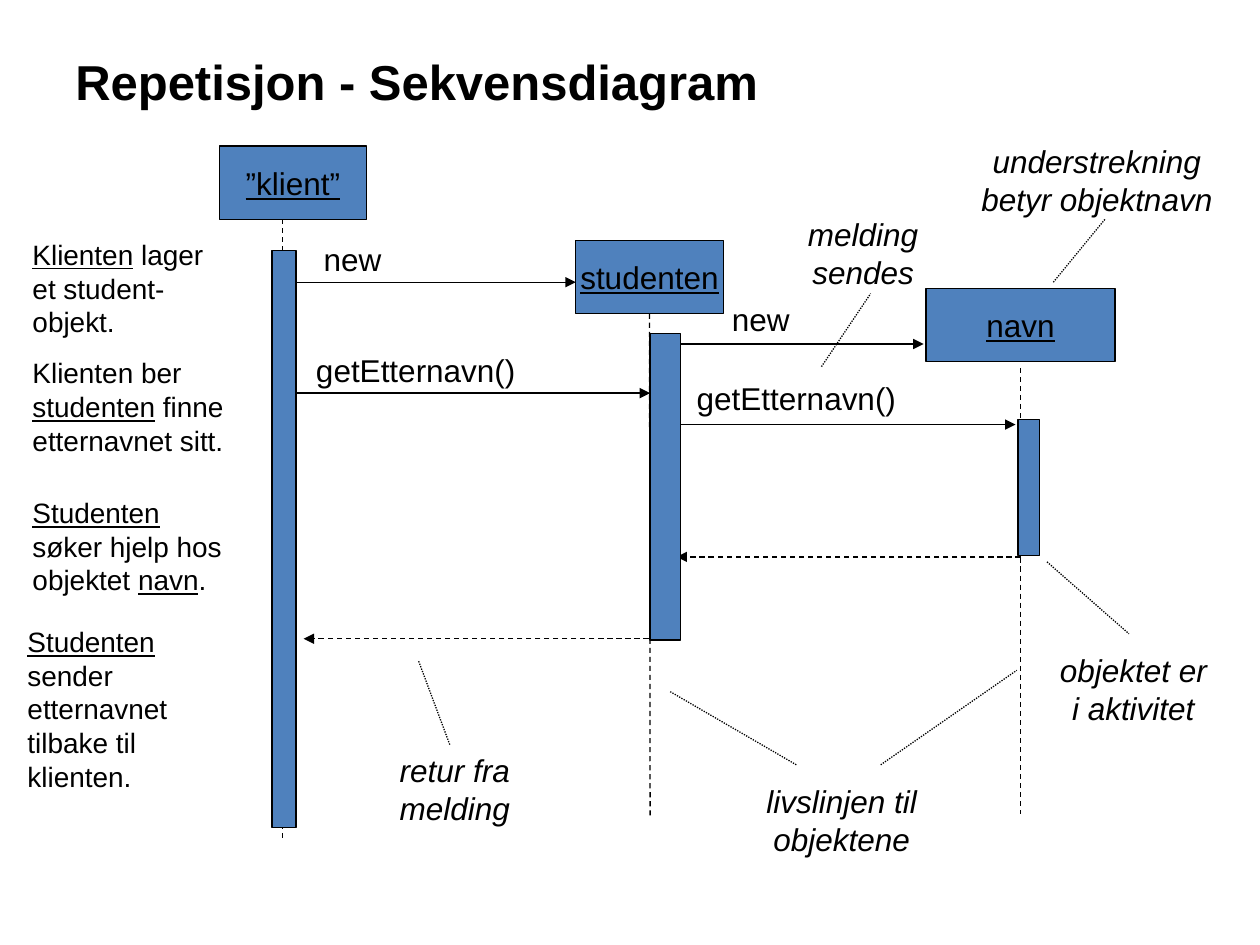
from lxml.etree import SubElement
from pptx import Presentation
from pptx.dml.color import RGBColor
from pptx.enum.dml import MSO_LINE
from pptx.enum.shapes import MSO_CONNECTOR, MSO_SHAPE
from pptx.enum.text import MSO_ANCHOR, MSO_AUTO_SIZE, PP_ALIGN
from pptx.oxml.ns import qn
from pptx.util import Inches, Pt

BLACK = RGBColor(0x00, 0x00, 0x00)
BLUE = RGBColor(0x4F, 0x81, 0xBD)
FONT = "Arial"
BOX_HEIGHT = 0.58
LABEL_HEIGHT = 0.4


def write(shape, paragraphs, size=18, align=PP_ALIGN.LEFT, anchor=MSO_ANCHOR.MIDDLE,
          wrap=False, bold=False, italic=False):
    """Fill a shape with paragraphs, each a list of (text, underlined) runs."""
    frame = shape.text_frame
    frame.word_wrap = wrap
    frame.vertical_anchor = anchor
    for index, runs in enumerate(paragraphs):
        paragraph = frame.add_paragraph() if index else frame.paragraphs[0]
        paragraph.alignment = align
        for text, underlined in runs:
            run = paragraph.add_run()
            run.text = text
            font = run.font
            font.name, font.size = FONT, Pt(size)
            font.bold, font.italic, font.underline = bold, italic, underlined
            font.color.rgb = BLACK


def add_text(slide, box, paragraphs, grow=True, **style):
    textbox = slide.shapes.add_textbox(*map(Inches, box))
    write(textbox, paragraphs, **style)
    if grow:
        textbox.text_frame.auto_size = MSO_AUTO_SIZE.SHAPE_TO_FIT_TEXT


def add_rectangle(slide, box):
    rectangle = slide.shapes.add_shape(MSO_SHAPE.RECTANGLE, *map(Inches, box))
    rectangle.shadow.inherit = False
    rectangle.fill.solid()
    rectangle.fill.fore_color.rgb = BLUE
    rectangle.line.color.rgb = BLACK
    rectangle.line.width = Pt(0.75)
    return rectangle


def add_line(slide, start, end, dash=None, arrow=False):
    line = slide.shapes.add_connector(MSO_CONNECTOR.STRAIGHT, *map(Inches, start + end))
    line.line.color.rgb = BLACK
    line.line.width = Pt(0.75)
    if dash:
        line.line.dash_style = dash
    if arrow:
        SubElement(line.line._get_or_add_ln(), qn("a:tailEnd"), type="triangle")
    SubElement(line._element.spPr, qn("a:effectLst"))
    return line


def add_title(slide, box, text):
    add_text(slide, box, [[(text, False)]], grow=False, size=28, wrap=True, bold=True)


def add_participant(slide, box, name, line_x, line_top, line_bottom):
    """Object box with its dashed lifeline below."""
    left, top, width, height = box
    head = add_rectangle(slide, box)
    write(head, [[(name, True)]], align=PP_ALIGN.CENTER)
    lifeline = add_line(slide, (line_x, line_top), (line_x, line_bottom), MSO_LINE.DASH)
    centred = abs(left + width / 2 - line_x) < 0.01
    if centred and abs(top + height - line_top) < 0.01:
        lifeline.begin_connect(head, 2)


def add_message(slide, start_x, end_x, y, label=None, label_box=None):
    """Call with a label, or a dashed return without one."""
    dash = None if label else MSO_LINE.DASH
    add_line(slide, (start_x, y), (end_x, y), dash, arrow=True)
    if label:
        add_text(slide, label_box, [[(label, False)]], anchor=MSO_ANCHOR.TOP)


def add_callout(slide, box, lines, *pointers):
    """Italic remark with dotted lines to what it explains."""
    for start, end in pointers:
        add_line(slide, start, end, MSO_LINE.ROUND_DOT)
    add_text(slide, box, [[(line, False)] for line in lines],
             align=PP_ALIGN.CENTER, italic=True)


def add_explanation(slide, box, paragraphs):
    add_text(slide, box, paragraphs, size=16, wrap=True)


PARTICIPANTS = [
    ((1.74, 1.16, 1.17, BOX_HEIGHT), "”klient”", 2.24, 1.74, 6.67),
    ((4.57, 1.91, 1.17, BOX_HEIGHT), "studenten", 5.16, 2.49, 6.49),
    ((7.35, 2.29, 1.5, BOX_HEIGHT), "navn", 8.1, 2.92, 6.46),
]
MESSAGES = [
    (2.24, 4.57, 2.24, "new", (2.47, 1.86, 0.66, LABEL_HEIGHT)),
    (2.34, 5.16, 3.12, "getEtternavn()", (2.41, 2.74, 1.8, LABEL_HEIGHT)),
    (5.39, 7.33, 2.73, "new", (5.71, 2.33, 0.66, LABEL_HEIGHT)),
    (5.16, 8.06, 3.37, "getEtternavn()", (5.43, 2.96, 1.8, LABEL_HEIGHT)),
    (8.1, 5.37, 4.42),
    (5.22, 2.41, 5.07),
]
ACTIVATIONS = [(2.16, 1.99, 0.19, 4.58), (5.16, 2.65, 0.24, 2.43), (8.08, 3.33, 0.17, 1.08)]
CALLOUTS = [
    ((7.65, 1.08, 2.11, 0.7), ["understrekning", "betyr objektnavn"],
     ((8.36, 2.24), (8.77, 1.74))),
    ((6.31, 1.66, 1.08, 0.7), ["melding", "sendes"], ((6.52, 2.91), (6.91, 2.33))),
    ((8.31, 5.12, 1.37, 0.7), ["objektet er", "i aktivitet"], ((8.31, 4.46), (8.96, 5.03))),
    ((5.98, 6.16, 1.4, 0.7), ["livslinjen til", "objektene"],
     ((6.99, 6.07), (8.07, 5.32)), ((6.32, 6.07), (5.32, 5.49))),
    ((3.07, 5.91, 1.08, 0.7), ["retur fra", "melding"], ((3.57, 5.91), (3.32, 5.24))),
]
EXPLANATIONS = [
    ((0.16, 1.83, 1.77, 0.91), [[("Klienten", True), (" lager et student-objekt.", False)]]),
    ((0.16, 2.77, 1.77, 0.91),
     [[("Klienten ber ", False), ("studenten", True), (" finne", False)],
      [("etternavnet sitt.", False)]]),
    ((0.16, 3.88, 1.77, 0.91),
     [[("Studenten", True), (" søker hjelp hos objektet ", False),
       ("navn", True), (".", False)]]),
    ((0.12, 4.9, 1.77, 1.45),
     [[("Studenten", True), (" sender etternavnet", False)],
      [("tilbake til klienten.", False)]]),
]


def main():
    deck = Presentation()
    deck.slide_width, deck.slide_height = Inches(10), Inches(7.5)
    slide = deck.slides.add_slide(deck.slide_layouts[6])

    add_title(slide, (0.5, 0.3, 9, 0.69), "Repetisjon - Sekvensdiagram")

    # Sequence diagram: the activation bars cover the line ends
    for participant in PARTICIPANTS:
        add_participant(slide, *participant)
    for message in MESSAGES:
        add_message(slide, *message)
    for bar in ACTIVATIONS:
        add_rectangle(slide, bar)

    # Remarks on the notation
    for callout in CALLOUTS:
        add_callout(slide, *callout)

    # Story told down the left side
    for explanation in EXPLANATIONS:
        add_explanation(slide, *explanation)

    deck.save("out.pptx")


if __name__ == "__main__":
    main()
